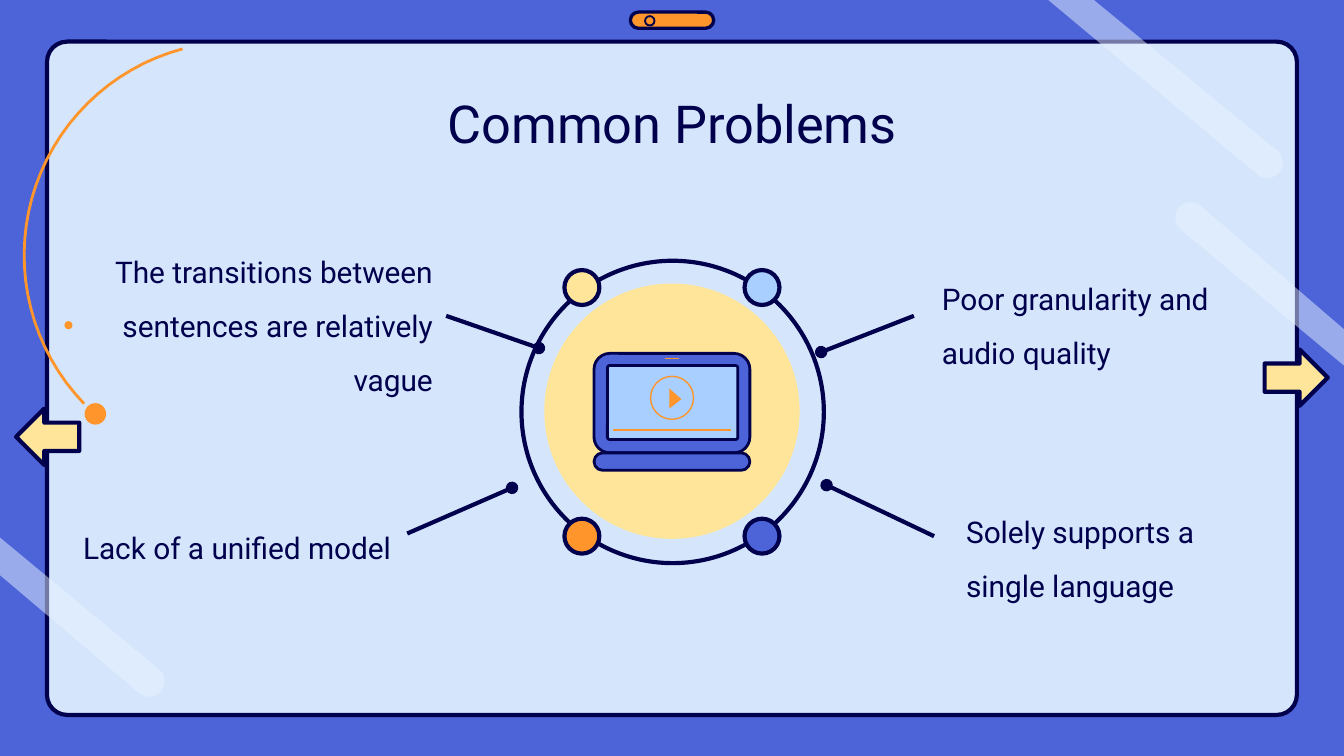
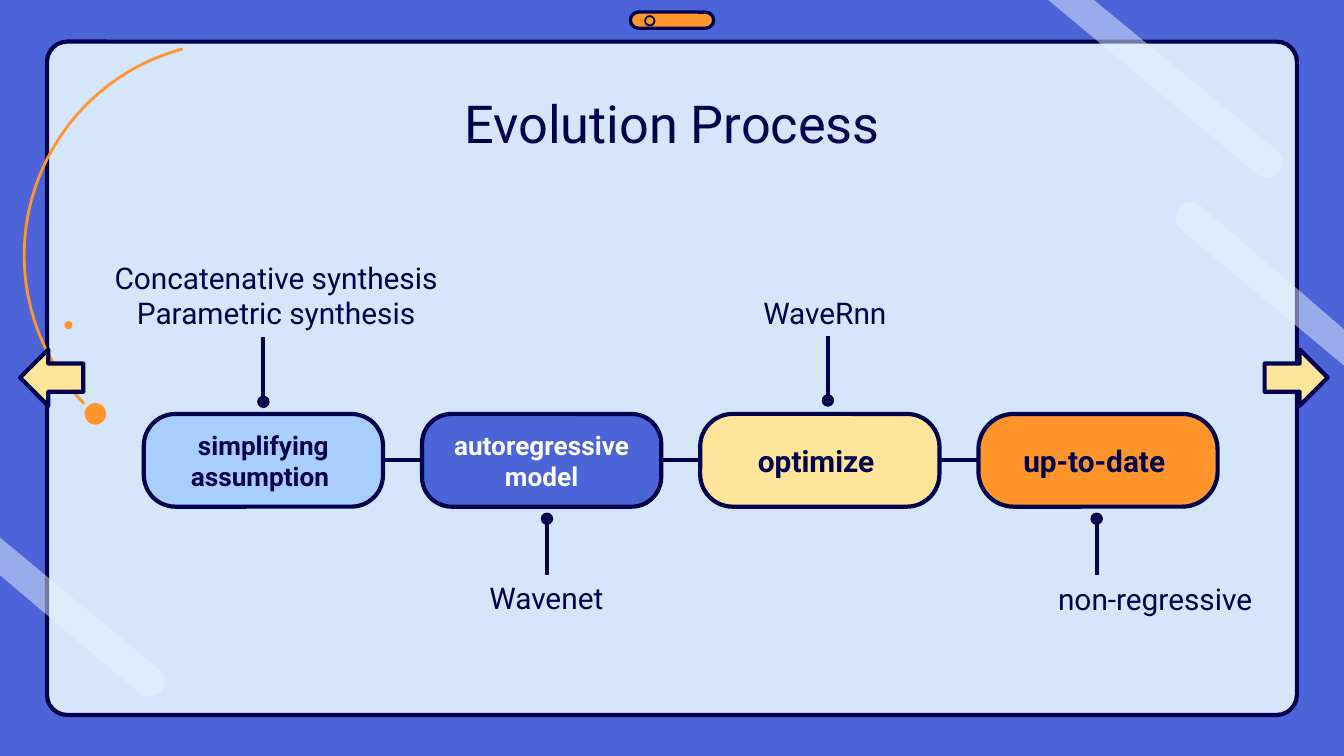
from dataclasses import dataclass
from itertools import pairwise
from math import cos, radians, sin

from lxml.etree import SubElement
from pptx import Presentation
from pptx.dml.color import RGBColor
from pptx.enum.shapes import MSO_CONNECTOR as CONN, MSO_SHAPE as SHAPE
from pptx.enum.text import MSO_ANCHOR as ANCHOR, MSO_AUTO_SIZE as AUTOSIZE, PP_ALIGN as ALIGN
from pptx.oxml.ns import qn
from pptx.util import Emu, Pt

PX = 9144


@dataclass(frozen=True)
class Theme:
    navy: str = "00004D"
    blue: str = "4C64D8"
    sky: str = "A8CFFF"
    panel: str = "D5E6FC"
    glare: str = "E9F3FF"
    cream: str = "FFE599"
    orange: str = "FF952B"
    white: str = "FFFFFF"
    font: str = "Roboto"
    title: int = 28
    body: int = 16
    label: int = 14
    stroke: float = 2.25
    medium: float = 1.5
    thin: float = 0.75


T = Theme()


def px(*values):
    return [Emu(round(v * PX)) for v in values]


def arc_points(cx, cy, radius, start, end, steps=32):
    angles = [radians(start + (end - start) * i / steps) for i in range(steps + 1)]
    return [(cx + radius * cos(a), cy + radius * sin(a)) for a in angles]


class Deck:
    def __init__(self, theme):
        self.t = theme
        self.prs = Presentation()
        self.prs.slide_width = px(1000)[0]
        self.prs.slide_height = self.prs.slide_width * 9 // 16
        self.layout = self.prs.slide_layouts[5]
        self.s = None

    def slide(self, title):
        self.s = self.prs.slides.add_slide(self.layout)
        sp = self.s.shapes.title
        sp.left, sp.top, sp.width, sp.height = px(79, 58, 842, 63)
        self.set_text(sp, title, size=self.t.title, anchor=ANCHOR.TOP)

    def share(self):
        fill = self.layout.background.fill
        fill.solid()
        fill.fore_color.rgb = RGBColor.from_string(self.t.blue)
        tree = self.layout.shapes.element
        for ph in list(self.layout.placeholders):
            if ph.placeholder_format.idx:
                tree.remove(ph.element)
        for sp in list(self.s.shapes):
            if not sp.is_placeholder:
                tree.append(sp.element)

    def paint(self, sp, fill, line, width, alpha=None):
        sp.shadow.inherit = False
        if fill:
            sp.fill.solid()
            sp.fill.fore_color.rgb = RGBColor.from_string(fill)
        else:
            sp.fill.background()
        if alpha:
            color = sp.element.xpath("./p:spPr/a:solidFill/a:srgbClr")[0]
            SubElement(color, qn("a:alpha"), val=str(alpha * 1000))
        if line:
            sp.line.color.rgb = RGBColor.from_string(line)
            sp.line.width = Pt(width)
        else:
            sp.line.fill.background()
        return sp

    def shape(self, kind, box, fill=None, line=None, width=T.stroke, adj=None):
        sp = self.s.shapes.add_shape(kind, *px(*box))
        if adj is not None:
            sp.adjustments[0] = adj
        return self.paint(sp, fill, line, width)

    def outline(self, points, fill=None, line=None, width=T.medium, alpha=None):
        start, *rest = [px(*point) for point in points]
        builder = self.s.shapes.build_freeform(*start)
        builder.add_line_segments(rest, close=fill is not None)
        return self.paint(builder.convert_to_shape(), fill, line, width, alpha)

    def line(self, start, end, color=T.navy, width=T.stroke, dot=False):
        cx = self.s.shapes.add_connector(CONN.STRAIGHT, *px(*start, *end))
        cx.line.color.rgb = RGBColor.from_string(color)
        cx.line.width = Pt(width)
        if dot:
            ln = cx.element.xpath("./p:spPr/a:ln")[0]
            SubElement(ln, qn("a:tailEnd"), type="oval")
        SubElement(cx.element.spPr, qn("a:effectLst"))
        return cx

    def join(self, left, right):
        cx = self.line((0, 0), (0, 0))
        cx.begin_connect(left, 3)
        cx.end_connect(right, 1)

    def text(self, box, words, **style):
        return self.set_text(self.s.shapes.add_textbox(*px(*box)), words, **style)

    def set_text(self, sp, words, size=T.body, color=T.navy, bold=False,
                 align=ALIGN.CENTER, anchor=ANCHOR.MIDDLE, spacing=1.0):
        tf = sp.text_frame
        inset = px(10)[0]
        frame = {"word_wrap": True, "auto_size": AUTOSIZE.NONE, "vertical_anchor": anchor,
                 "margin_left": inset, "margin_right": inset,
                 "margin_top": inset, "margin_bottom": inset}
        font = {"name": self.t.font, "size": Pt(size), "bold": bold}
        for key, value in frame.items():
            setattr(tf, key, value)
        for i, content in enumerate(words.split("\n")):
            p = tf.add_paragraph() if i else tf.paragraphs[0]
            p.alignment, p.line_spacing = align, spacing
            r = p.add_run()
            r.text = content
            for key, value in font.items():
                setattr(r.font, key, value)
            r.font.color.rgb = RGBColor.from_string(color)
        return sp

    def arrows(self, left, top):
        self.shape(SHAPE.LEFT_ARROW, (left, top, 47, 42), self.t.cream, self.t.navy)
        self.shape(SHAPE.RIGHT_ARROW, (941, 260, 47, 42), self.t.cream, self.t.navy)


def draw_frame(deck):
    deck.shape(SHAPE.ROUNDED_RECTANGLE, (35, 31, 930, 501), T.panel, T.navy, adj=0.03)
    deck.shape(SHAPE.ROUNDED_RECTANGLE, (469, 9, 62, 12), T.orange, T.navy, 1.75, 0.5)
    deck.shape(SHAPE.OVAL, (480, 12, 7, 7), line=T.navy, width=1)
    deck.outline(arc_points(177, 190, 159, 136, 255), line=T.orange)
    deck.shape(SHAPE.OVAL, (48, 239, 6, 6), T.orange)
    deck.shape(SHAPE.OVAL, (63, 300, 16, 16), T.orange)
    glares = [
        ((943, 121), (130, -50), [(814, 0), (780, 0)]),
        ((111, 507), (130, -50), [(0, 400), (0, 428)]),
        ((886, 162), (-50, -230), [(1000, 272), (1000, 245)]),
    ]
    for center, sweep, edge in glares:
        deck.outline(arc_points(*center, 11.5, *sweep) + edge, T.glare, alpha=50)


def draw_laptop(deck):
    rounded = SHAPE.ROUNDED_RECTANGLE
    deck.shape(rounded, (442, 263, 116, 74), T.blue, T.navy, T.medium, 0.16)
    deck.shape(rounded, (452, 272, 97, 55), T.sky, T.navy, T.medium, 0.03)
    deck.shape(SHAPE.OVAL, (484, 280, 32, 32), line=T.orange, width=T.thin)
    deck.outline([(498, 289), (498, 304), (507, 297)], T.orange)
    deck.line((456, 320), (544, 320), T.orange, T.thin)
    deck.line((495, 267), (505, 267), T.orange, T.thin)
    deck.shape(rounded, (442, 337, 116, 13), T.blue, T.navy, T.medium, 0.5)


def draw_problems(deck):
    deck.shape(SHAPE.OVAL, (405, 211, 190, 190), T.cream)
    deck.shape(SHAPE.OVAL, (388, 194, 225, 225), line=T.navy)
    draw_laptop(deck)
    problems = [
        ((691, 203, 227, 65), "Poor granularity and audio quality", ALIGN.LEFT, 1.5,
         (680, 235), (611, 262)),
        ((26, 203, 306, 65), "The transitions between sentences are relatively vague",
         ALIGN.RIGHT, 1.5, (332, 235), (401, 259)),
        ((709, 374, 237, 70), "Solely supports a single language", ALIGN.LEFT, 1.5,
         (695, 399), (615, 361)),
        ((33, 375, 268, 65), "Lack of a unified model", ALIGN.RIGHT, 1.0,
         (303, 397), (381, 363)),
    ]
    for box, words, align, spacing, start, end in problems:
        deck.text(box, words, align=align, spacing=spacing)
        deck.line(start, end, dot=True)
    for i, color in enumerate((T.cream, T.sky, T.orange, T.blue)):
        row, col = divmod(i, 2)
        deck.shape(SHAPE.OVAL, (420 + 134 * col, 201 + 185 * row, 26, 26), color, T.navy)
    deck.arrows(12, 304)


def draw_evolution(deck):
    notes = [
        ((62, 183, 287, 76), "Concatenative synthesis\nParametric synthesis", 196, 251, 299),
        ((307, 421, 199, 76), "Wavenet", 407, 428, 386),
        ((517, 209, 199, 48), "WaveRnn ", 616, 250, 298),
        ((760, 422, 199, 76), "non-regressive", 816, 428, 386),
    ]
    for box, words, x, start, end in notes:
        deck.text(box, words, anchor=ANCHOR.TOP)
        deck.line((x, start), (x, end), dot=True)
    deck.arrows(15, 260)
    stages = [
        ("simplifying assumption ", T.sky, T.navy, T.label, 0.34),
        ("autoregressive model", T.blue, T.white, T.label, 0.32),
        ("optimize ", T.cream, T.navy, T.body, 0.35),
        ("up-to-date ", T.orange, T.navy, T.body, 0.38),
    ]
    boxes = []
    for i, (words, fill, color, size, adj) in enumerate(stages):
        sp = deck.shape(SHAPE.ROUNDED_RECTANGLE, (107 + 207 * i, 308, 178, 69),
                        fill, T.navy, adj=adj)
        boxes.append(deck.set_text(sp, words, size=size, color=color, bold=True))
    for left, right in pairwise(boxes):
        deck.join(left, right)


def main():
    deck = Deck(T)
    deck.slide("Common Problems")
    draw_frame(deck)
    deck.share()
    draw_problems(deck)
    deck.slide("Evolution Process")
    draw_evolution(deck)
    deck.prs.save("out.pptx")


if __name__ == "__main__":
    main()
